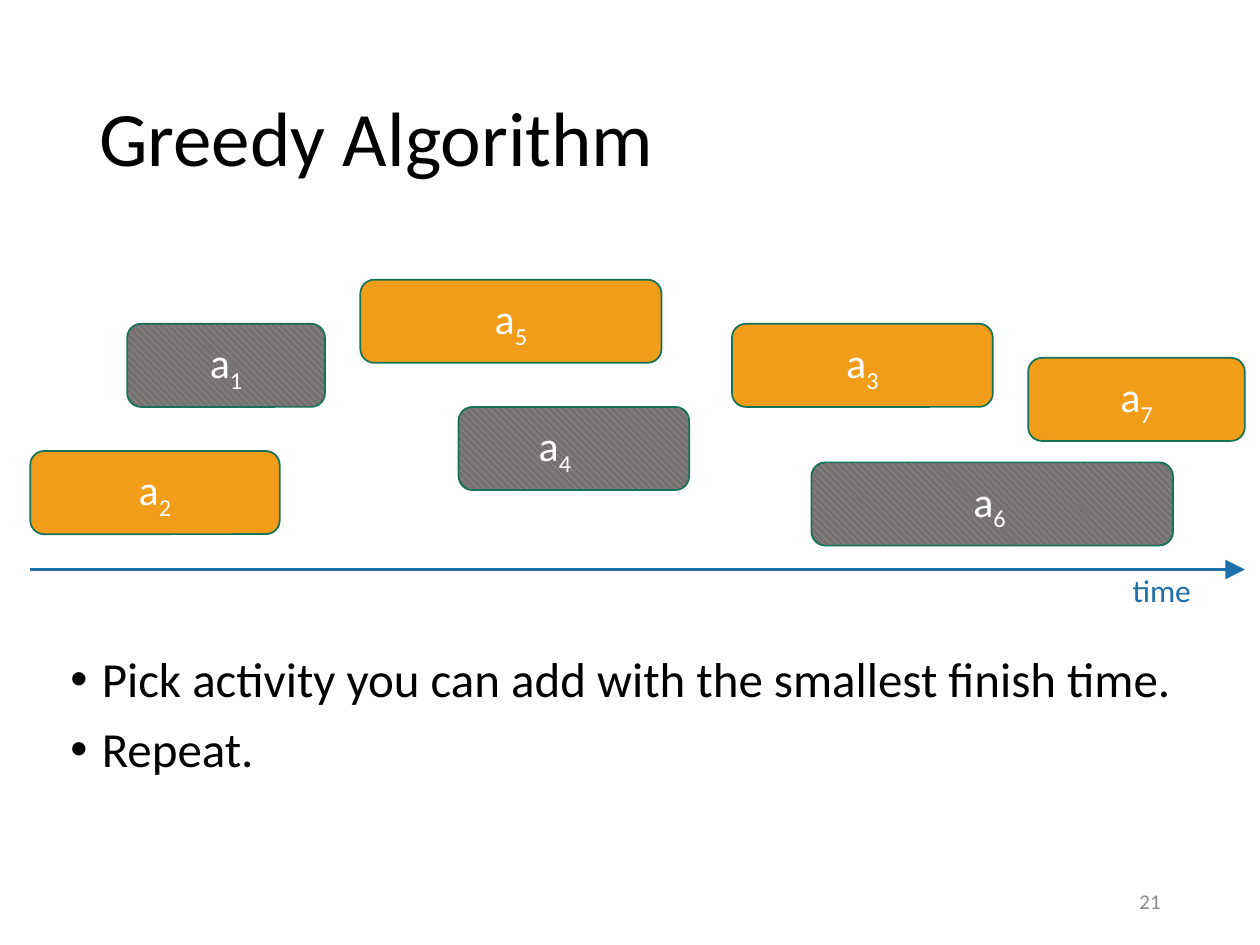
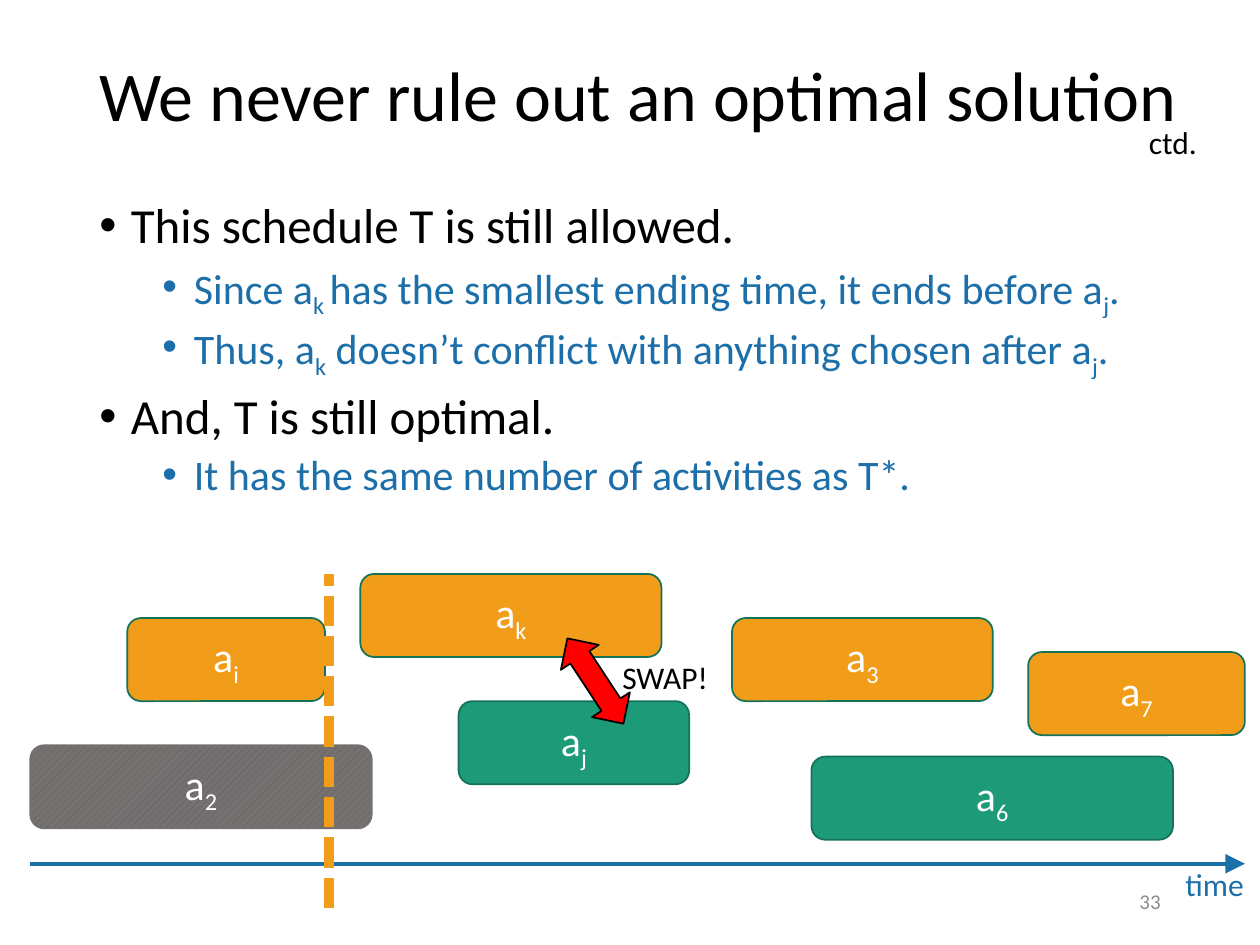
from lxml import etree
from pptx import Presentation
from pptx import util as u
from pptx.dml.color import RGBColor
from pptx.enum import dml, shapes, text
from pptx.oxml.ns import qn

COLOURS = {
    "ink": "000000", "white": "FFFFFF", "blue": "1D6FA9", "page": "8C8C8C",
    "picked": "F19D19", "open": "1D9A78", "edge": "157259", "arrow": "FF0000",
    "grey": "767171", "pale": "AFABAB", "dark": "595959",
}
FONT = "Calibri"
COLUMNS, ROWS = 100, 75
BAR_HEIGHT = 6.6

PATTERNS = dml.MSO_PATTERN
BAR_STYLES = {
    "picked": {"fill": "picked", "edge": "edge"},
    "open": {"fill": "open", "edge": "edge"},
    "conflict": {"fill": "grey", "edge": "edge", "stripe": "pale",
                 "pattern": PATTERNS.WIDE_DOWNWARD_DIAGONAL},
    "past": {"fill": "grey", "edge": "grey", "stripe": "dark",
             "pattern": PATTERNS.WIDE_UPWARD_DIAGONAL},
}

BAR_SLOTS = {
    "third": (55.7, 3.5, 20.7),
    "first": (7.7, 3.5, 15.7),
    "fourth": (34, 10.1, 18.3),
    "second": (0, 13.6, 19.8),
    "fifth": (26.2, 0, 23.9),
    "seventh": (79.2, 6.2, 17.2),
    "sixth": (62, 14.5, 28.7),
}

BODY_LEVELS = [
    {"size": 28, "color": "ink", "before": 10, "indent": 0.25},
    {"size": 24, "color": "blue", "before": 5, "indent": 0.75},
]


def rgb(name):
    return RGBColor.from_string(COLOURS[name])


def cells(*values):
    return [u.Inches(value * 10 / COLUMNS) for value in values]


def write(frame, content, size=18, color="ink", align=text.PP_ALIGN.LEFT,
          spacing=1.0, before=0, indent=0, level=0, add=False):
    paragraph = frame.add_paragraph() if add else frame.paragraphs[0]
    if indent:
        properties = paragraph._p.get_or_add_pPr()
        properties.set("marL", str(u.Inches(indent)))
        properties.set("indent", str(-u.Inches(0.25)))
        etree.SubElement(properties, qn("a:buFont")).set("typeface", "Arial")
        etree.SubElement(properties, qn("a:buChar")).set("char", "•")
    paragraph.level = level
    paragraph.alignment = align
    paragraph.line_spacing = spacing
    paragraph.space_before = u.Pt(before)
    for position, part in enumerate(content.split("_")):
        if not part:
            continue
        run = paragraph.add_run()
        run.text = part
        run.font.size = u.Pt(size)
        run.font.name = FONT
        run.font.color.rgb = rgb(color)
        if position % 2:
            run._r.get_or_add_rPr().set("baseline", "-25000")
    return paragraph


def text_box(slide, box, content=None, anchor=text.MSO_ANCHOR.TOP, **style):
    frame = slide.shapes.add_textbox(*cells(*box)).text_frame
    frame.word_wrap = True
    frame.vertical_anchor = anchor
    if content:
        write(frame, content, **style)
    return frame


def add_title(slide, box, content, size):
    text_box(slide, box, content, anchor=text.MSO_ANCHOR.MIDDLE,
             size=size, spacing=0.9)


def add_body(slide, box, items):
    frame = text_box(slide, box)
    for position, (level, content) in enumerate(items):
        style = dict(BODY_LEVELS[level])
        if position == 0:
            style["before"] = 0
        write(frame, content, spacing=0.9, level=level,
              add=position > 0, **style)


def add_page_number(slide, number):
    text_box(slide, (70.6, 69.5, 22.5, 4), number, size=12, color="page",
             align=text.PP_ALIGN.RIGHT, anchor=text.MSO_ANCHOR.MIDDLE)


def add_preset(slide, kind, box, fill, edge, stripe=None, pattern=None):
    shape = slide.shapes.add_shape(kind, *cells(*box))
    shape.shadow.inherit = False
    if pattern:
        shape.fill.patterned()
        shape.fill.pattern = pattern
        shape.fill.fore_color.rgb = rgb(stripe)
        shape.fill.back_color.rgb = rgb(fill)
    else:
        shape.fill.solid()
        shape.fill.fore_color.rgb = rgb(fill)
    shape.line.color.rgb = rgb(edge)
    shape.line.width = u.Pt(1)
    return shape


def add_line(slide, start, end, color, width, dash=None, arrow=False):
    line = slide.shapes.add_connector(
        shapes.MSO_CONNECTOR.STRAIGHT, *cells(*start, *end))
    line.line.color.rgb = rgb(color)
    line.line.width = u.Pt(width)
    if dash:
        line.line.dash_style = dash
    if arrow:
        outline = line.line._get_or_add_ln()
        etree.SubElement(outline, qn("a:tailEnd"),
                         {"type": "triangle", "w": "lg", "len": "lg"})
    etree.SubElement(line._element.spPr, qn("a:effectLst"))


def add_bar(slide, box, label, style, shift=0):
    bar = add_preset(slide, shapes.MSO_SHAPE.ROUNDED_RECTANGLE, box,
                     **BAR_STYLES[style])
    frame = bar.text_frame
    frame.word_wrap = True
    frame.vertical_anchor = text.MSO_ANCHOR.MIDDLE
    frame.margin_right = u.Inches(0.1 + shift)
    write(frame, label, size=24, color="white", align=text.PP_ALIGN.CENTER)


def add_timeline(slide, box, bars, label_column=86.5):
    left, top, width, height = box
    for slot, label, style, *options in bars:
        column, row, length = BAR_SLOTS[slot]
        if style == "past":
            length = 27.1
        add_bar(slide, (left + column, top + row, length, BAR_HEIGHT),
                label, style, *options)
    axis = top + height
    add_line(slide, (left, axis), (left + width, axis), "blue", 2.25,
             arrow=True)
    label_left = left + label_column
    text_box(slide, (label_left, axis - 0.4, COLUMNS - label_left, 4), "time",
             color="blue")


def add_swap(slide, box):
    left, top, width, height = box
    add_line(slide, (left + 23.7, top + height + 3.5), (left + 23.7, top),
             "picked", 5.75, dash=dml.MSO_LINE.SQUARE_DOT)
    arrow = add_preset(slide, shapes.MSO_SHAPE.LEFT_RIGHT_ARROW,
                       (left + 40.8, top + 6.7, 8.1, 3.6), "arrow", "ink")
    arrow.rotation = 56.7
    text_box(slide, (left + 46, top + 6.2, 9.8, 4), "SWAP!")


def greedy_slide(slide):
    add_title(slide, (6.9, 4, 86.2, 14.5), "Greedy Algorithm", 44)
    add_timeline(slide, (2.4, 22.2, 96.4, 23), [
        ("third", "a_3", "picked"),
        ("first", "a_1", "conflict"),
        ("fourth", "a_4", "conflict", 0.3),
        ("second", "a_2", "picked"),
        ("fifth", "a_5", "picked"),
        ("seventh", "a_7", "picked"),
        ("sixth", "a_6", "conflict", 0.04),
    ])
    add_body(slide, (4.6, 51.5, 92, 17.9), [
        (0, "Pick activity you can add with the smallest finish time."),
        (0, "Repeat."),
    ])
    add_page_number(slide, "21")


def optimal_slide(slide):
    add_title(slide, (6.9, 0.6, 95.7, 14.5),
              "We never rule out an optimal solution", 40)
    add_body(slide, (6.9, 15.5, 93.1, 47.6), [
        (0, "This schedule T is still allowed."),
        (1, "Since a_k _has the smallest ending time, it ends before a_j_."),
        (1, "Thus, a_k_ doesn’t conflict with anything chosen after a_j_."),
        (0, "And, T is still optimal."),
        (1, "It has the same number of activities as T*."),
    ])
    timeline = (2.4, 45.55, 96.4, 23)
    add_timeline(slide, timeline, [
        ("first", "a_i", "picked"),
        ("second", "a_2", "past"),
        ("seventh", "a_7", "picked"),
        ("sixth", "a_6", "open"),
        ("fourth", "a_j", "open"),
        ("fifth", "a_k", "picked"),
        ("third", "a_3", "picked"),
    ], label_column=90.7)
    text_box(slide, (90.2, 9.3, 9.8, 4), "ctd.")
    add_swap(slide, timeline)
    add_page_number(slide, "33")


def main():
    presentation = Presentation()
    presentation.slide_width, presentation.slide_height = cells(COLUMNS, ROWS)
    for build in (greedy_slide, optimal_slide):
        build(presentation.slides.add_slide(presentation.slide_layouts[6]))
    presentation.save("out.pptx")


if __name__ == "__main__":
    main()
